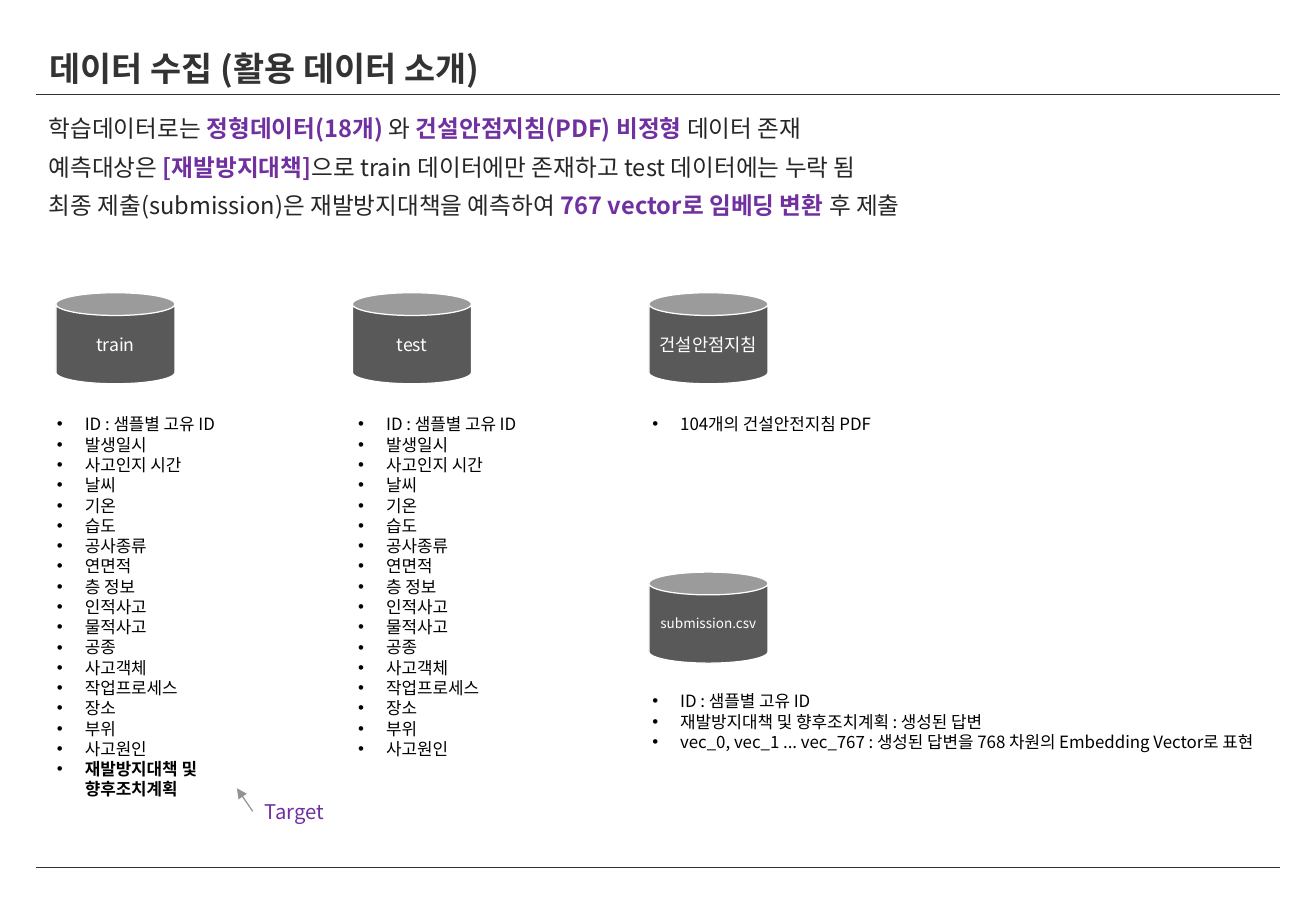
from lxml import etree
from pptx import Presentation, util as u
from pptx.dml.color import RGBColor
from pptx.enum import shapes, text
from pptx.oxml import ns

PX = 9144
FONT = "Noto Sans CJK KR"
DARK, PURPLE, WHITE, BLACK = "333333", "7030A0", "FFFFFF", "000000"
SUMMARY = [
    "학습데이터로는 *정형데이터(18개) *와 *건설안점지침(PDF) 비정형 *데이터 존재",
    "예측대상은 *[재발방지대책]*으로 train 데이터에만 존재하고 test 데이터에는 누락 됨",
    "최종 제출(submission)은 재발방지대책을 예측하여 *767 vector로 임베딩 변환 *후 제출",
]
FEATURES = [
    "ID : 샘플별 고유 ID", "발생일시", "사고인지 시간", "날씨", "기온", "습도",
    "공사종류", "연면적", "층 정보", "인적사고", "물적사고", "공종", "사고객체",
    "작업프로세스", "장소", "부위", "사고원인",
]
SUBMISSION = [
    "ID : 샘플별 고유 ID",
    "재발방지대책 및 향후조치계획 : 생성된 답변",
    "vec_0, vec_1 ... vec_767 : 생성된 답변을 768 차원의 Embedding Vector로 표현",
]


def px(*lengths):
    """Turn whole px into EMU."""
    return [u.Emu(length * PX) for length in lengths]


def rgb(value):
    """Turn a hex string into a colour."""
    return RGBColor.from_string(value)


def child(parent, tag, **attributes):
    """Append a DrawingML element."""
    return etree.SubElement(parent, ns.qn(tag), **attributes)


def set_bullet(paragraph, bullet, indent):
    """Set the hanging indent and the bullet sign, or none."""
    properties = paragraph._p.get_or_add_pPr()
    properties.set("marL", str(indent * PX))
    properties.set("indent", str(-indent * PX))
    if bullet:
        child(properties, "a:buFont", typeface="Arial")
        child(properties, "a:buChar", char=bullet)
    else:
        child(properties, "a:buNone")


def write(frame, paragraphs, size, color=BLACK, accent=None, bold=False, bullet=None,
          indent=0, align=text.PP_ALIGN.LEFT, anchor=text.MSO_ANCHOR.TOP,
          wrap=True, spacing=1.0, before=0):
    """Write paragraphs whose parts between asterisks are bold in the accent colour."""
    frame.auto_size = text.MSO_AUTO_SIZE.NONE
    frame.word_wrap = wrap
    frame.vertical_anchor = anchor
    for index, content in enumerate(paragraphs):
        paragraph = frame.add_paragraph() if index else frame.paragraphs[0]
        set_bullet(paragraph, bullet, indent)
        paragraph.alignment = align
        paragraph.line_spacing = spacing
        paragraph.space_before = u.Pt(before if index else 0)
        for part, words in enumerate(content.split("*")):
            if not words:
                continue
            emphasis = part % 2 == 1
            run = paragraph.add_run()
            run.text = words
            run.font.size = u.Pt(size)
            run.font.bold = bold or emphasis
            run.font.color.rgb = rgb(accent or color if emphasis else color)
            run.font.name = FONT
            child(run._r.get_or_add_rPr(), "a:ea", typeface=FONT)


def fill_placeholder(placeholder, box, paragraphs, size, **style):
    """Move a placeholder and write in it."""
    placeholder.left, placeholder.top, placeholder.width, placeholder.height = px(*box)
    write(placeholder.text_frame, paragraphs, size, **style)


def add_text(slide, box, paragraphs, size, **style):
    """Add a text box."""
    write(slide.shapes.add_textbox(*px(*box)).text_frame, paragraphs, size, **style)


def add_line(slide, start, end, color, weight, arrow=False):
    """Add a straight line, with an arrowhead at its end if wanted."""
    line = slide.shapes.add_connector(shapes.MSO_CONNECTOR.STRAIGHT, *px(*start, *end))
    line.line.color.rgb = rgb(color)
    line.line.width = u.Pt(weight)
    if arrow:
        child(line.line._get_or_add_ln(), "a:tailEnd", type="triangle")
    child(line._element.spPr, "a:effectLst")


def add_dataset(slide, left, top, name, list_box, fields, size=10.5):
    """Add a data cylinder with its field list below."""
    cylinder = slide.shapes.add_shape(shapes.MSO_SHAPE.CAN, *px(left, top, 98, 75))
    cylinder.shadow.inherit = False
    cylinder.fill.solid()
    cylinder.fill.fore_color.rgb = rgb("595959")
    cylinder.line.color.rgb = rgb(WHITE)
    cylinder.line.width = u.Pt(0.75)
    write(cylinder.text_frame, [name], size, color=WHITE, wrap=False,
          align=text.PP_ALIGN.CENTER, anchor=text.MSO_ANCHOR.MIDDLE)
    add_text(slide, list_box, fields, 10, bullet="•", indent=23)


def main():
    """Build the slide on the collected data."""
    deck = Presentation()
    deck.slide_width, deck.slide_height = px(1083, 750)
    slide = deck.slides.add_slide(deck.slide_layouts[1])
    for rule_top in (78, 714):
        add_line(slide, (30, rule_top), (1053, rule_top), DARK, 0.5)
    title, summary = slide.placeholders
    fill_placeholder(title, (31, 41, 667, 30), ["데이터 수집 (활용 데이터 소개)"], 20,
                     color=DARK, bold=True, anchor=text.MSO_ANCHOR.MIDDLE)
    fill_placeholder(summary, (30, 84, 1024, 114), SUMMARY, 14, color="262626",
                     accent=PURPLE, spacing=1.2, before=2.8)
    add_dataset(slide, 46, 241, "train", (37, 336, 206, 313),
                FEATURES + ["*재발방지대책 및 향후조치계획*"])
    add_dataset(slide, 290, 241, "test", (285, 336, 206, 296), FEATURES)
    add_dataset(slide, 534, 241, "건설안점지침", (527, 336, 206, 27),
                ["104개의 건설안전지침 PDF"])
    add_dataset(slide, 534, 471, "submission.csv", (527, 564, 534, 77), SUBMISSION, size=8)
    add_text(slide, (208, 653, 68, 30), ["Target"], 12, color=PURPLE, wrap=False)
    add_line(slide, (208, 668), (195, 649), "939393", 0.75, arrow=True)
    deck.save("out.pptx")


if __name__ == "__main__":
    main()
